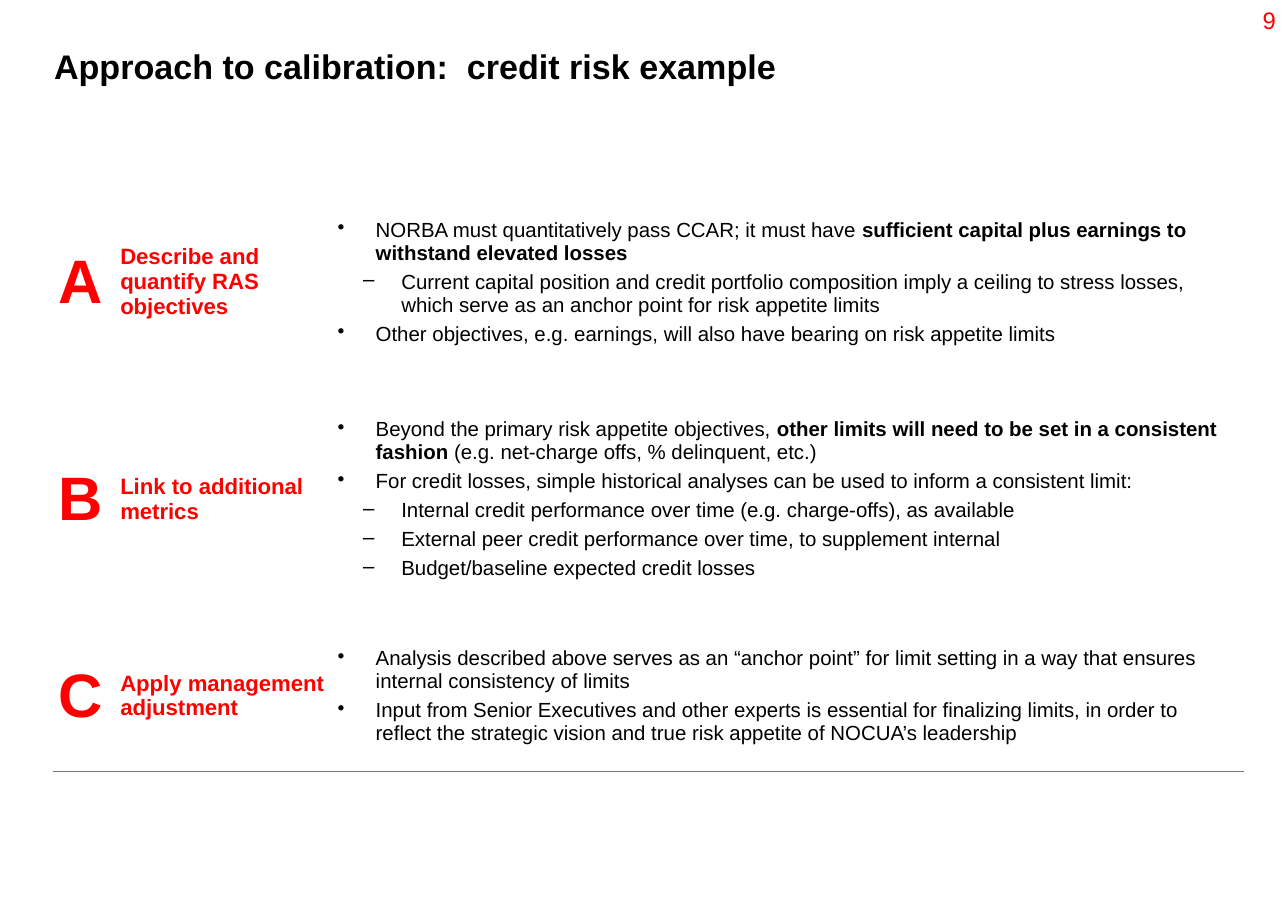
import pptx
import pptx.util
import pptx.dml.color
import pptx.enum.text
import pptx.oxml
import pptx.oxml.ns

Cm = pptx.util.Cm
Pt = pptx.util.Pt
MIDDLE = pptx.enum.text.MSO_ANCHOR.MIDDLE
RIGHT = pptx.enum.text.PP_ALIGN.RIGHT

THEME = {
    "font": "Arial",
    "red": "FF0000",
    "black": "000000",
    "rule": "777777",
    "title": 20,
    "letter": 36,
    "heading": 13,
    "body": 12,
    "number": 14,
}

BULLETS = {1: ("•", Cm(0.79)), 2: ("–", Cm(1.32))}
HANGING = Cm(0.79)

STEPS = [
    ("A", "Describe and quantify RAS objectives", Cm(3.96), [
        (1, [("NORBA must quantitatively pass CCAR; it must have ", False),
             ("sufficient capital plus earnings to withstand elevated losses", True)]),
        (2, [("Current capital position and credit portfolio composition imply a ceiling to "
              "stress losses, which serve as an anchor point for risk appetite limits", False)]),
        (1, [("Other objectives, e.g. earnings, will also have bearing on risk appetite limits", False)]),
    ]),
    ("B", "Link to additional metrics", Cm(5.03), [
        (1, [("Beyond the primary risk appetite objectives, ", False),
             ("other limits will need to be set in a consistent fashion ", True),
             ("(e.g. net-charge offs, % delinquent, etc.)", False)]),
        (1, [("For credit losses, simple historical analyses can be used to inform a consistent limit:", False)]),
        (2, [("Internal credit performance over time (e.g. charge-offs), as available", False)]),
        (2, [("External peer credit performance over time, to supplement internal", False)]),
        (2, [("Budget/baseline expected credit losses", False)]),
    ]),
    ("C", "Apply management adjustment", Cm(3.12), [
        (1, [("Analysis described above serves as an “anchor point” for limit setting in a way "
              "that ensures internal consistency of limits", False)]),
        (1, [("Input from Senior Executives and other experts is essential for finalizing limits, "
              "in order to reflect the strategic vision and true risk appetite of NOCUA’s leadership", False)]),
    ]),
]


def add_text(paragraph, text, size, color, bold):
    run = paragraph.add_run()
    run.text = text
    values = {"name": THEME["font"], "size": Pt(THEME[size]), "bold": bold}
    for name, value in values.items():
        setattr(run.font, name, value)
    run.font.color.rgb = pptx.dml.color.RGBColor.from_string(THEME[color])


def format_cell(cell):
    values = {"margin_left": Cm(0.1), "margin_right": Cm(0.1), "margin_top": Cm(0.1),
              "margin_bottom": Cm(0.1), "vertical_anchor": MIDDLE}
    for name, value in values.items():
        setattr(cell, name, value)
    border = pptx.oxml.parse_xml(
        f'<a:lnB {pptx.oxml.ns.nsdecls("a")} w="{Pt(0.75)}"><a:solidFill>'
        f'<a:srgbClr val="{THEME["rule"]}"/></a:solidFill></a:lnB>')
    cell._tc.get_or_add_tcPr().append(border)
    cell.fill.background()


presentation = pptx.Presentation()
presentation.slide_width = Cm(26.67)
presentation.slide_height = Cm(19.05)
slide = presentation.slides.add_slide(presentation.slide_layouts[6])

title = slide.shapes.add_textbox(Cm(1.12), Cm(1.07), Cm(24.43), Cm(2.03))
title_format = {"margin_left": 0, "margin_right": 0, "margin_top": 0,
                "margin_bottom": 0, "word_wrap": True}
for name, value in title_format.items():
    setattr(title.text_frame, name, value)
title_paragraph = title.text_frame.paragraphs[0]
title_paragraph.line_spacing = 0.86
add_text(title_paragraph, "Approach to calibration:  credit risk example", "title", "black", True)

widths = [Cm(1.27), Cm(4.5), Cm(18.85)]
table_height = sum(step[2] for step in STEPS)
table = slide.shapes.add_table(
    len(STEPS), len(widths), Cm(1.12), Cm(3.86), sum(widths), table_height).table
table.first_row = False
table.horz_banding = False
for column, width in zip(table.columns, widths):
    column.width = width

for row, (letter, heading, height, points) in zip(table.rows, STEPS):
    row.height = height
    letter_cell, heading_cell, points_cell = row.cells
    add_text(letter_cell.text_frame.paragraphs[0], letter, "letter", "red", True)
    add_text(heading_cell.text_frame.paragraphs[0], heading, "heading", "red", True)

    for index, (level, runs) in enumerate(points):
        frame = points_cell.text_frame
        paragraph = frame.add_paragraph() if index else frame.paragraphs[0]
        paragraph.level = level
        paragraph.space_before = Pt(3.6)
        mark, indent = BULLETS[level]
        properties = paragraph._p.get_or_add_pPr()
        properties.set("marL", str(indent))
        properties.set("indent", str(-HANGING))
        properties.append(pptx.oxml.parse_xml(
            f'<a:buChar {pptx.oxml.ns.nsdecls("a")} char="{mark}"/>'))
        for text, bold in runs:
            add_text(paragraph, text, "body", "black", bold)

    for cell in row.cells:
        format_cell(cell)

number = slide.shapes.add_textbox(Cm(25.55), Cm(0), Cm(1.12), Cm(1.07))
number.text_frame.word_wrap = False
number_paragraph = number.text_frame.paragraphs[0]
number_paragraph.alignment = RIGHT
add_text(number_paragraph, "9", "number", "red", False)

presentation.save("out.pptx")
